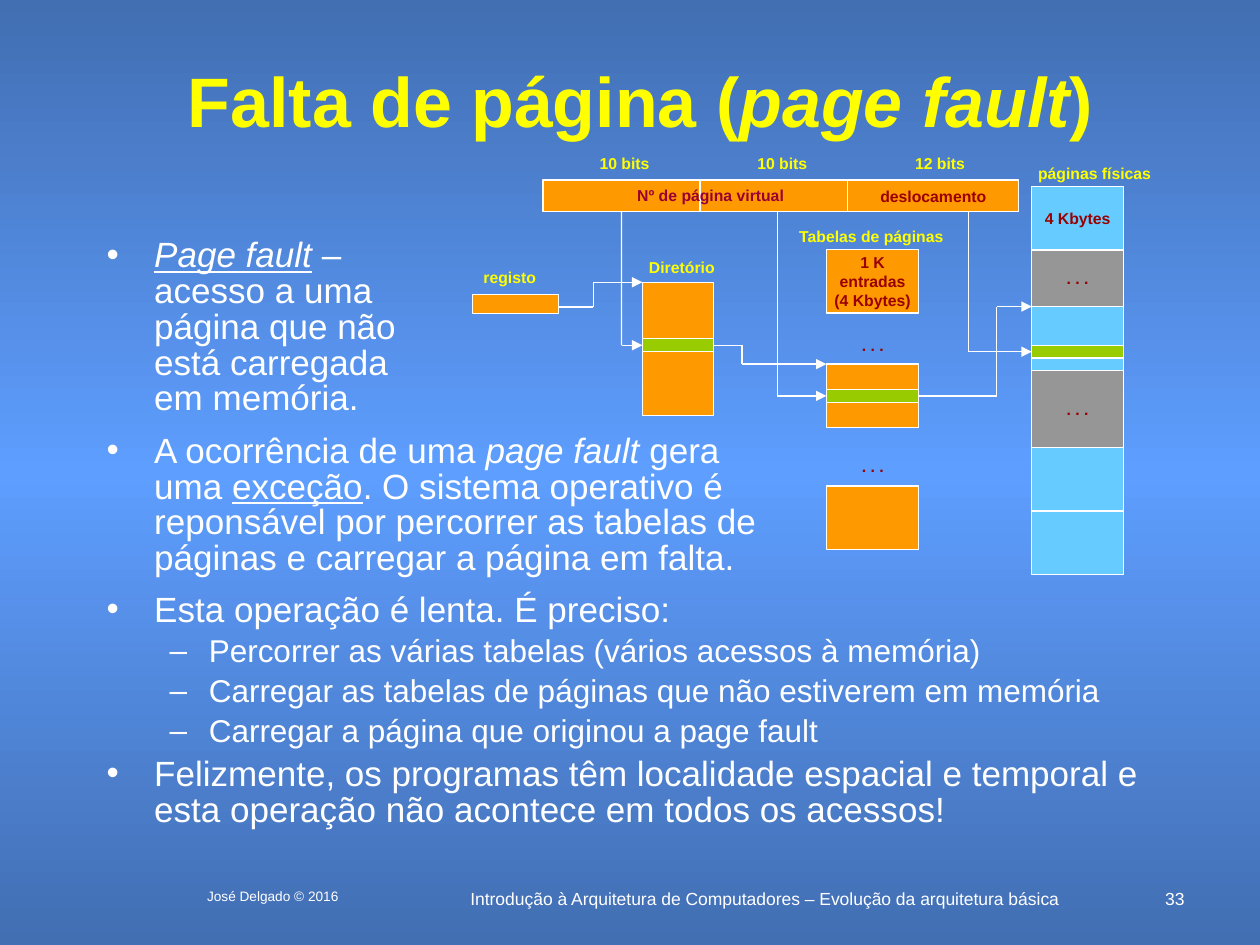
import copy
import itertools
import pptx
import pptx.dml.color
import pptx.enum.shapes
import pptx.enum.text
import pptx.oxml.ns
import pptx.oxml.xmlchemy
import pptx.util

Cm = pptx.util.Cm
Pt = pptx.util.Pt
RGBColor = pptx.dml.color.RGBColor
ALIGN = pptx.enum.text.PP_ALIGN
ANCHOR = pptx.enum.text.MSO_ANCHOR
qn = pptx.oxml.ns.qn

WHITE = RGBColor(0xFF, 0xFF, 0xFF)
YELLOW = RGBColor(0xFF, 0xFF, 0x00)
ORANGE = RGBColor(0xFF, 0x99, 0x00)
GREEN = RGBColor(0x99, 0xCC, 0x00)
SKY = RGBColor(0x66, 0xCC, 0xFF)
GREY = RGBColor(0x96, 0x96, 0x96)
RED = RGBColor(0x99, 0x00, 0x00)
WINE = RGBColor(0x99, 0x00, 0x33)
DARK = RGBColor(0x42, 0x6E, 0xB2)
LIGHT = RGBColor(0x5E, 0x9E, 0xFF)

# Content: a run is (text, style), with style letters i = italic, u = underline
TITLE = [("Falta de página (", ""), ("page fault", "i"), (")", "")]
# Bullet boxes: place (left, top, width, height), then (level, runs)
BODY = [
    ((1.9, 4.7, 7.2, 4.27), [
        (0, [("Page fault", "iu"),
             (" – acesso a uma página que não está carregada em memória.", "")]),
    ]),
    ((1.9, 8.64, 14.4, 3.81), [
        (0, [("A ocorrência de uma ", ""), ("page fault", "i"), (" gera uma ", ""),
             ("exceção", "u"),
             (". O sistema operativo é reponsável por percorrer as tabelas de "
              "páginas e carregar a página em falta.", "")]),
    ]),
    ((1.9, 11.84, 22.43, 5.51), [
        (0, [("Esta operação é lenta. É preciso:", "")]),
        (1, [("Percorrer as várias tabelas (vários acessos à memória)", "")]),
        (1, [("Carregar as tabelas de páginas que não estiverem em memória", "")]),
        (1, [("Carregar a página que originou a page fault", "")]),
        (0, [("Felizmente, os programas têm localidade espacial e temporal e "
              "esta operação não acontece em todos os acessos!", "")]),
    ]),
]
# Bullet levels: mark, size, left indent, hanging part, space before
LEVELS = [("•", 20, 0.96, 0.96, 5), ("–", 18, 2.06, 0.79, 4.5)]

FOOT = [
    ("José Delgado © 2016", 7.8, ALIGN.CENTER, (3.38, 17.78, 4.24, 0.64)),
    ("Introdução à Arquitetura de Computadores – Evolução da arquitetura básica",
     10, ALIGN.CENTER, (8.46, 17.78, 13.9, 0.64)),
    ("33", 10, ALIGN.RIGHT, (23.06, 17.78, 1.07, 0.43)),
]

# Diagram content
FIELDS = [(3.16, ""), (2.98, ""), (3.45, "deslocamento")]
PAGES = [(1.28, SKY, "4 Kbytes"), (1.14, GREY, ". . ."), (1.29, SKY, ""),
         (1.55, GREY, ". . ."), (1.28, SKY, ""), (1.28, SKY, "")]
TABLES = [(5.03, "1 K\nentradas\n(4 Kbytes)"), (7.34, ""), (9.8, "")]
LABELS = [  # text, left, top, width, colour
    ("páginas físicas", 20.68, 3.18, 2.77, YELLOW),
    ("Tabelas de páginas", 15.85, 4.45, 3.43, YELLOW),
    ("Diretório", 12.83, 5.08, 1.83, YELLOW),
    ("registo", 9.5, 5.28, 1.55, YELLOW),
    ("Nº de página virtual", 12.52, 3.63, 3.61, WINE),
    (". . . ", 17.12, 6.65, 1.04, RED),
    (". . . ", 17.12, 9.09, 1.04, RED),
]
BITS = ["10 bits", "10 bits", "12 bits"]

deck = pptx.Presentation()
deck.slide_width, deck.slide_height = Cm(25.4), Cm(19.05)
slide = deck.slides.add_slide(deck.slide_layouts[6])
parts = slide.shapes


def tag(name, **attrs):
    item = pptx.oxml.xmlchemy.OxmlElement(name)
    for key, value in attrs.items():
        item.set(key, value)
    return item


def write(para, runs, size, color, bold=False):
    for text, style in runs:
        run = para.add_run()
        run.text = text
        font = run.font
        font.name, font.size, font.bold = "Arial", Pt(size), bold
        font.color.rgb = color
        font.italic = "i" in style
        font.underline = "u" in style


def text_box(place):
    frame = parts.add_textbox(*map(Cm, place)).text_frame
    frame.word_wrap = True
    return frame


def line_box(runs, place, size, color, bold=False, align=ALIGN.CENTER):
    frame = text_box(place)
    para = frame.paragraphs[0]
    para.alignment = align
    write(para, runs, size, color, bold)
    return frame


def block(place, fill, text=""):
    box = parts.add_shape(pptx.enum.shapes.MSO_SHAPE.RECTANGLE, *map(Cm, place))
    box.shadow.inherit = False
    box.fill.solid()
    box.fill.fore_color.rgb = fill
    box.line.color.rgb, box.line.width = WHITE, Pt(0.75)
    frame = box.text_frame
    frame.word_wrap, frame.vertical_anchor = False, ANCHOR.MIDDLE
    for i, words in enumerate(text.split("\n") if text else []):
        para = frame.add_paragraph() if i else frame.paragraphs[0]
        para.alignment = ALIGN.CENTER
        write(para, [(words, "")], 9, RED, True)
    return box


def route(points, start=None, end=None):
    """Straight legs through the points, with an arrowhead on the last."""
    legs = []
    for a, b in itertools.pairwise(points):
        leg = parts.add_connector(pptx.enum.shapes.MSO_CONNECTOR.STRAIGHT,
                                  *map(Cm, a + b))
        leg.line.color.rgb, leg.line.width = WHITE, Pt(0.75)
        leg.element.spPr.append(tag("a:effectLst"))
        legs.append(leg)
    legs[-1].element.spPr.find(qn("a:ln")).append(tag("a:tailEnd", type="triangle"))
    if start:
        legs[0].begin_connect(*start)
    if end:
        legs[-1].end_connect(*end)


# Background: dark to light to dark, top to bottom
fill = slide.background.fill
fill.gradient()
fill.gradient_angle = 270
first, last = fill.gradient_stops
first.color.rgb, first.position = DARK, 0
last.color.rgb, last.position = LIGHT, 0.5
stops = slide.element.find(".//" + qn("a:gsLst"))
close = copy.deepcopy(stops[0])
close.set("pos", "100000")
stops.append(close)

# Title and footer
frame = line_box(TITLE, (1.9, 1.06, 22.02, 1.9), 40, YELLOW, True)
frame.vertical_anchor = ANCHOR.MIDDLE
for text, size, align, place in FOOT:
    line_box([(text, "")], place, size, WHITE, align=align)

# Bullets
for place, paras in BODY:
    frame = text_box(place)
    for i, (level, runs) in enumerate(paras):
        para = frame.add_paragraph() if i else frame.paragraphs[0]
        mark, size, left, hang, gap = LEVELS[level]
        props = para._p.get_or_add_pPr()
        props.set("marL", str(Cm(left)))
        props.set("indent", str(-Cm(hang)))
        props.append(tag("a:buFont", typeface="Arial"))
        props.append(tag("a:buChar", char=mark))
        para.level, para.line_spacing = level, 0.85
        if i:
            para.space_before = Pt(gap)
        write(para, runs, size, WHITE)

# Virtual address fields, left to right
x, cells = 10.95, []
for wide, text in FIELDS:
    cells.append(block((x, 3.63, wide, 0.64), ORANGE, text))
    x += wide

# Register, directory, page tables and the stack of pages
block((9.53, 5.94, 1.73, 0.38), ORANGE)
block((12.95, 5.69, 1.43, 2.69), ORANGE)
for top, text in TABLES:
    block((16.66, top, 1.86, 1.28), ORANGE, text)
y = 3.76
for high, color, text in PAGES:
    block((20.8, y, 1.85, high), color, text)
    y += high

# Selected entries
dir_row = block((12.95, 6.83, 1.43, 0.26), GREEN)
tab_row = block((16.66, 7.85, 1.86, 0.26), GREEN)
mem_row = block((20.8, 6.96, 1.85, 0.26), GREEN)

# Arrows
route([(11.26, 6.19), (11.96, 6.19), (11.96, 5.69), (12.95, 5.69)])
route([(12.53, 4.27), (12.53, 6.96), (12.95, 6.96)], (cells[0], 2), (dir_row, 1))
route([(14.38, 6.96), (14.96, 6.96), (14.96, 7.34), (16.66, 7.34)], (dir_row, 3))
route([(15.67, 4.27), (15.67, 7.98), (16.66, 7.98)], end=(tab_row, 1))
route([(18.52, 7.98), (20.09, 7.98), (20.09, 6.18), (20.8, 6.18)], (tab_row, 3))
route([(19.53, 4.27), (19.53, 7.09), (20.8, 7.09)], end=(mem_row, 1))

# Labels: no side margins, so each stays on one line
bits = [(text, 11.84 + 3.18 * i, 2.97, 1.5, YELLOW) for i, text in enumerate(BITS)]
for text, x, y, wide, color in LABELS + bits:
    frame = line_box([(text, "")], (x, y, wide, 0.64), 9, color, True)
    frame.margin_left = frame.margin_right = 0
    frame.word_wrap = False

deck.save("out.pptx")
